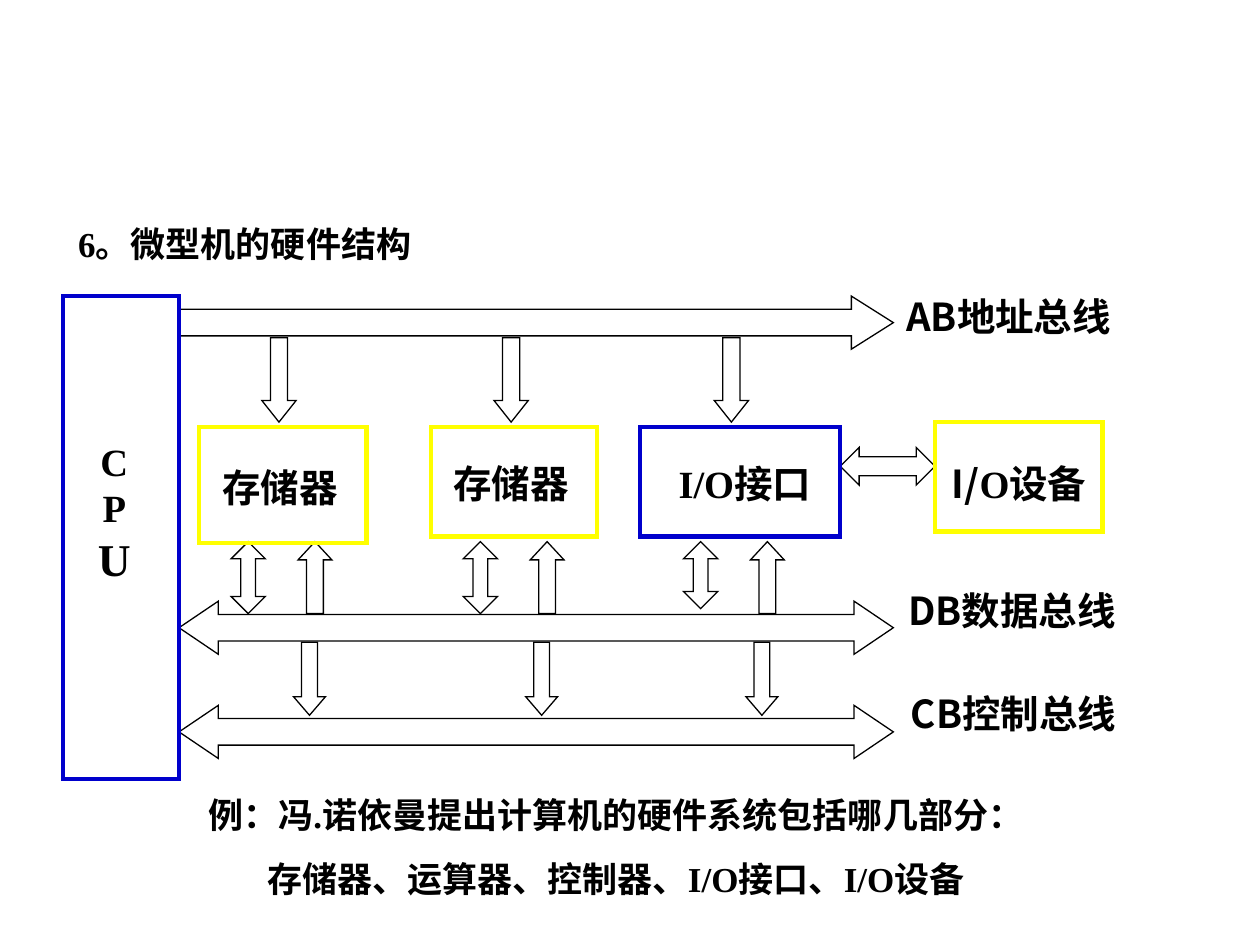
"""Build a slide showing the bus structure of a microcomputer."""
from lxml import etree
from pptx import Presentation
from pptx.dml.color import RGBColor
from pptx.enum.shapes import MSO_SHAPE
from pptx.enum.text import MSO_AUTO_SIZE, PP_ALIGN
from pptx.oxml.ns import qn
from pptx.util import Cm, Pt

RECT = MSO_SHAPE.RECTANGLE
RIGHT, UP, DOWN = MSO_SHAPE.RIGHT_ARROW, MSO_SHAPE.UP_ARROW, MSO_SHAPE.DOWN_ARROW
LEFT_RIGHT, UP_DOWN = MSO_SHAPE.LEFT_RIGHT_ARROW, MSO_SHAPE.UP_DOWN_ARROW
CENTER = PP_ALIGN.CENTER
NO_FIT = MSO_AUTO_SIZE.NONE

THEME = {
    "black": RGBColor(0, 0, 0),
    "blue": RGBColor(0, 0, 0xCC),
    "yellow": RGBColor(0xFF, 0xFF, 0),
    "serif": "Times New Roman",
    "sans": "Noto Sans CJK SC",
    "body": 20, "label": 22, "large": 26,
    "box_line": 2.5, "arrow_line": 0.75,
    "gap": 12.5,
}

BOXES = [
    ((1.27, 5.97, 2.34, 9.73), "blue"),
    ((4.01, 8.61, 3.38, 2.34), "yellow"),
    ((8.69, 8.61, 3.35, 2.21), "yellow"),
    ((12.9, 8.61, 4.04, 2.21), "blue"),
    ((18.85, 8.51, 3.38, 2.21), "yellow"),
]
BUS_LEFT, BUS_WIDTH, BUS_HEIGHT = 3.61, 14.4, 1.07
BUSES = [(RIGHT, 5.97, 0.79), (LEFT_RIGHT, 12.12, 0.74), (LEFT_RIGHT, 14.22, 0.74)]
DEVICE_LINK = (16.94, 9.02, 1.91, 0.76)
COLUMNS = [5.28, 9.96, 14.4]
LINKS = [
    (DOWN, 0, 6.81, 0.69, (1.7, 1.7, 1.7), 0.63),
    (UP_DOWN, -0.62, 10.92, 0.69, (1.45, 1.45, 1.35), 0.43),
    (UP, 0.73, 10.92, 0.68, (1.45, 1.45, 1.45), 0.54),
    (DOWN, 0.64, 12.95, 0.64, (1.47, 1.47, 1.47), 0.58),
]
TEXTS = [
    ((1.24, 4.37, 7.39, 1.12), [[("6。微型机的硬件结构", "serif", "body")]]),
    ((1.62, 8.71, 1.37, 3.23), [[("C", "serif", "label")], [("P", "serif", "label")],
                                [("U", "serif", "large")]]),
    ((4.24, 9.22, 2.82, 1.19), [[("存储器", "sans", "label")]]),
    ((8.89, 9.14, 2.82, 1.19), [[("存储器", "sans", "label")]]),
    ((13.34, 9.14, 3.35, 1.19), [[("I/O接口", "serif", "label")]]),
    ((18.82, 9.14, 3.45, 1.19), [[("I/", "sans", "label"), ("O", "serif", "label"),
                                  ("设备", "sans", "label")]]),
    ((17.93, 5.79, 4.8, 1.19), [[("AB地址总线", "sans", "label")]]),
    ((18.0, 11.71, 4.8, 1.19), [[("DB数据总线", "sans", "label")]]),
    ((18.03, 13.79, 4.8, 1.19), [[("CB控制总线", "sans", "label")]]),
]
EXAMPLE = ((3.78, 15.88, 17.27, 2.39), [
    [("例：冯.诺依曼提出计算机的硬件系统包括哪几部分：", "serif", "body")],
    [("存储器、运算器、控制器、I/O接口、I/O设备", "serif", "body")],
])


def add_outline(slide, kind, frame, color, width, head=None):
    sp = slide.shapes.add_shape(kind, *map(Cm, frame))
    sp.shadow.inherit = False
    sp.fill.background()
    sp.line.color.rgb = THEME[color]
    sp.line.width = Pt(THEME[width])
    ln = sp.element.spPr.find(qn("a:ln"))
    etree.SubElement(ln, qn("a:miter")).set("lim", "800000")
    if head is not None:
        sp.adjustments[0] = 0.5
        sp.adjustments[1] = head


def add_text(slide, frame, paragraphs, gap=0):
    tf = slide.shapes.add_textbox(*map(Cm, frame)).text_frame
    tf.word_wrap = False
    tf.auto_size = NO_FIT
    tf.margin_left = tf.margin_right = 0
    for i, runs in enumerate(paragraphs):
        p = tf.add_paragraph() if i else tf.paragraphs[0]
        p.alignment = CENTER
        p.space_before = Pt(gap if i else 0)
        for text, font, size in runs:
            r = p.add_run()
            r.text = text
            r.font.size = Pt(THEME[size])
            r.font.bold = True
            r.font.color.rgb = THEME["black"]
            r.font.name = THEME[font]
            ea = etree.SubElement(r._r.get_or_add_rPr(), qn("a:ea"))
            ea.set("typeface", THEME["sans"])


def main():
    prs = Presentation()
    prs.slide_width, prs.slide_height = Cm(25.4), Cm(19.05)
    s = prs.slides.add_slide(prs.slide_layouts[6])
    for kind, top, head in BUSES:
        frame = (BUS_LEFT, top, BUS_WIDTH, BUS_HEIGHT)
        add_outline(s, kind, frame, "black", "arrow_line", head)
    for kind, offset, top, width, heights, head in LINKS:
        for column, height in zip(COLUMNS, heights):
            frame = (column + offset, top, width, height)
            add_outline(s, kind, frame, "black", "arrow_line", head)
    add_outline(s, LEFT_RIGHT, DEVICE_LINK, "black", "arrow_line", 0.5)
    for frame, color in BOXES:
        add_outline(s, RECT, frame, color, "box_line")
    for frame, paragraphs in TEXTS:
        add_text(s, frame, paragraphs)
    add_text(s, *EXAMPLE, gap=THEME["gap"])
    prs.save("out.pptx")


if __name__ == "__main__":
    main()
